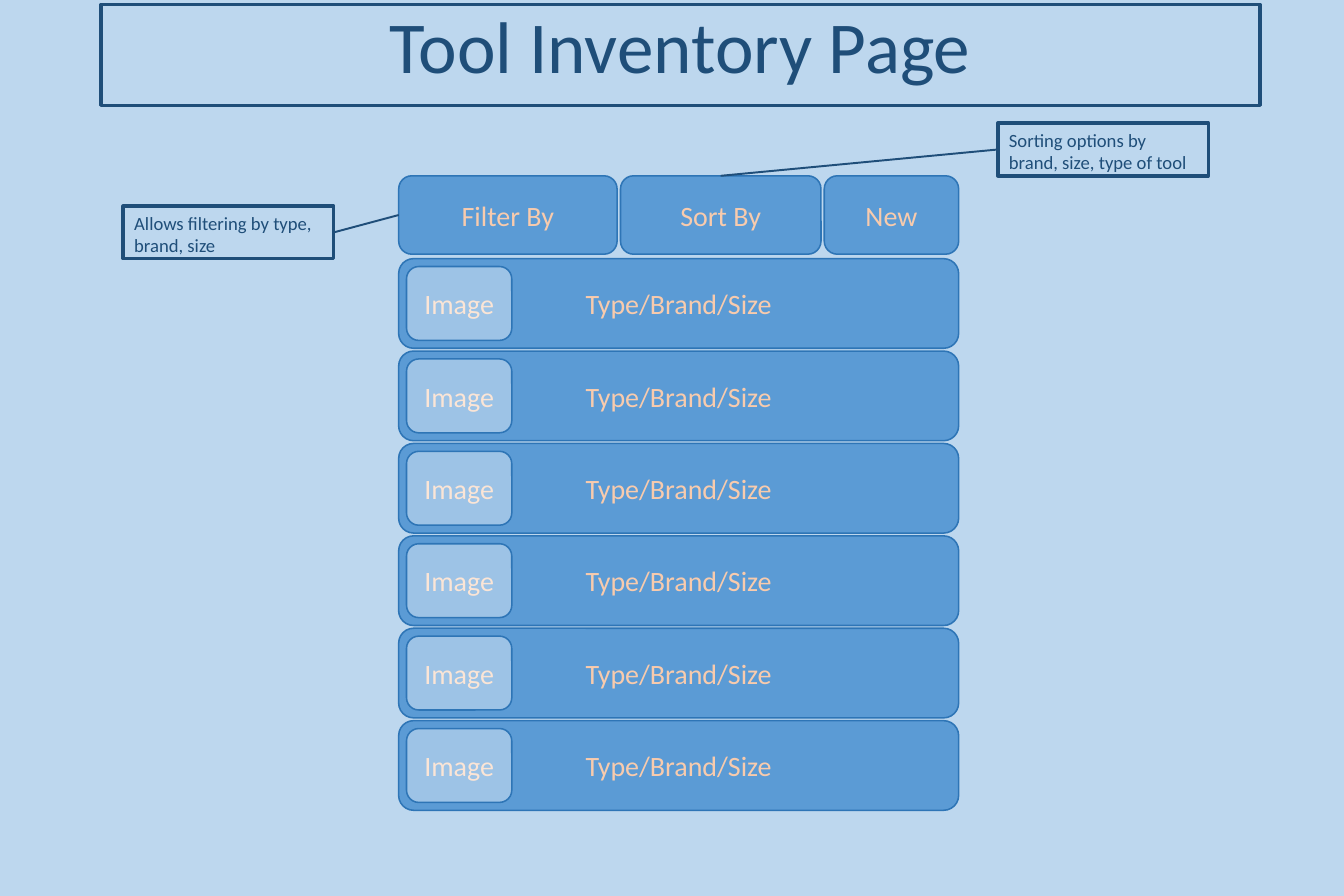
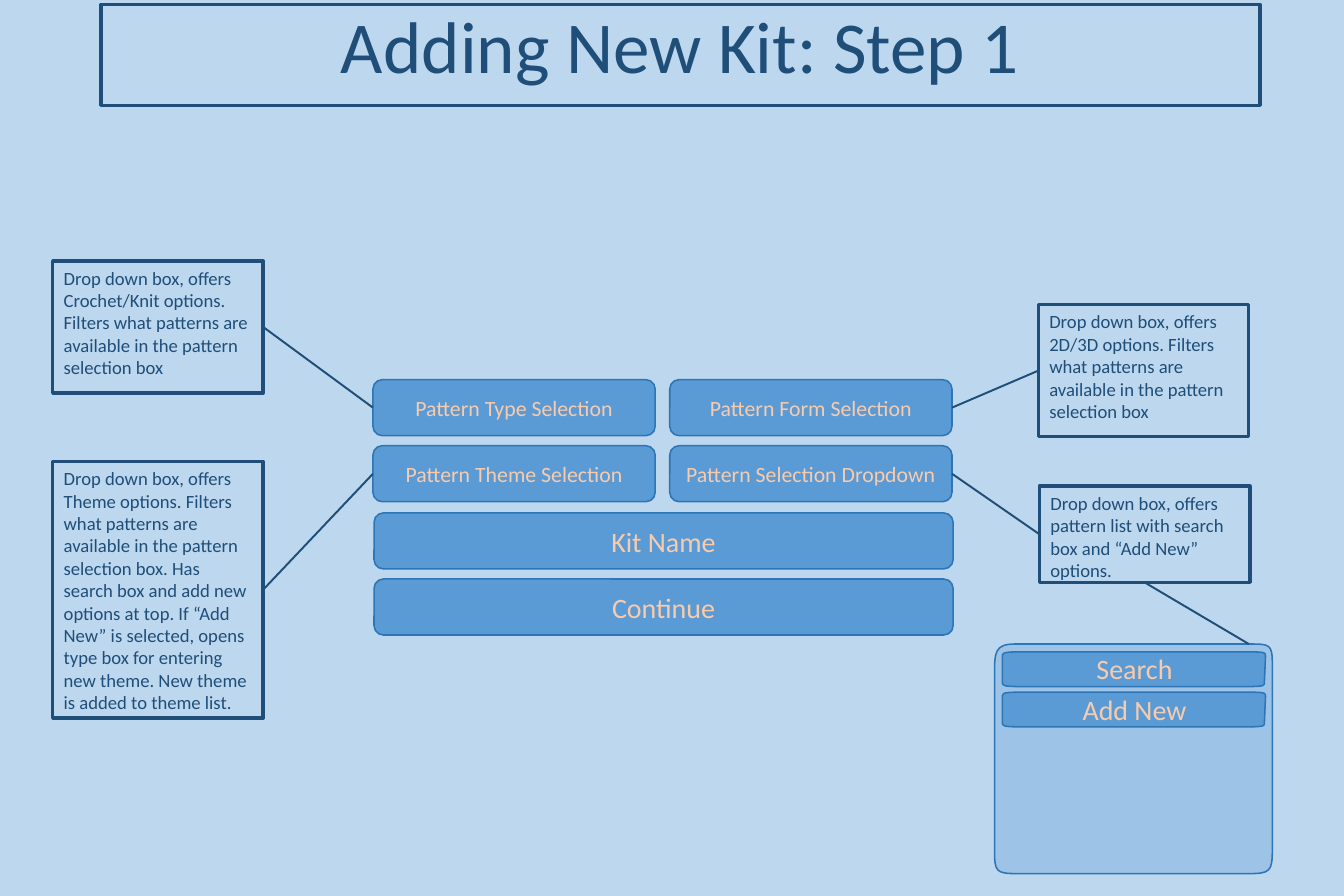
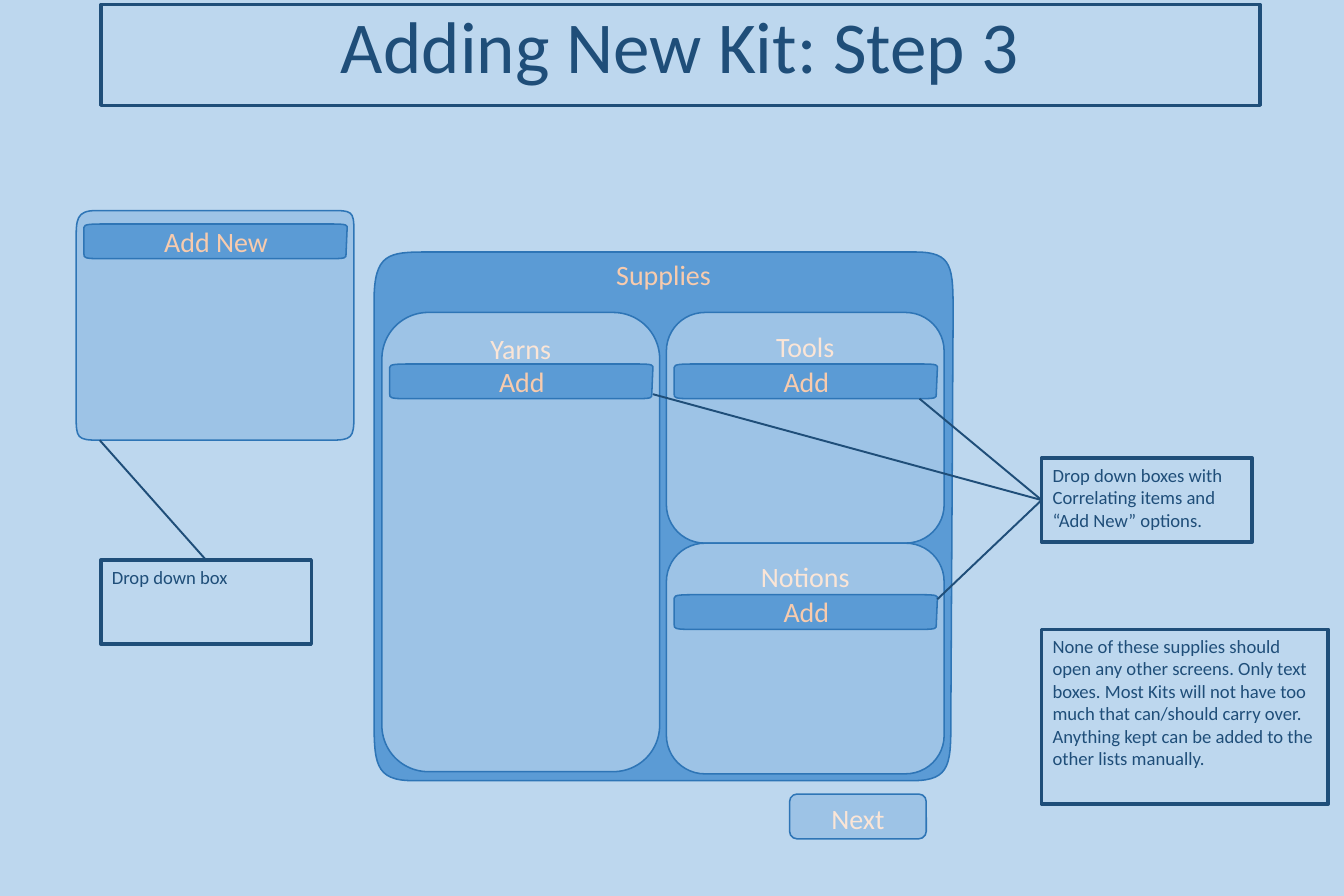
"""Build three wireframe slides for a craft inventory app."""
import pptx
import pptx.util
import pptx.dml.color
import pptx.enum.shapes
import pptx.enum.text
import pptx.oxml.ns
from lxml import etree

Inches = pptx.util.Inches
Pt = pptx.util.Pt
Shape = pptx.enum.shapes.MSO_SHAPE
Align = pptx.enum.text.PP_ALIGN
Anchor = pptx.enum.text.MSO_ANCHOR

FONT = "Calibri"
COLORS = {
    "page": "BDD7EE",
    "ink": "1F4E79",
    "button": "5B9BD5",
    "panel": "9DC3E6",
    "edge": "2E75B6",
    "button_text": "F8CBAD",
    "panel_text": "FBE5D6",
}
TOP, LEFT, BOTTOM, RIGHT = range(4)

BAR = [
    [(0, 0.03), (0, 0), (0.06, 0), (0.22, 0)],
    [(2.2, 0), (2.36, 0), (2.35, 0.01), (2.35, 0.04)],
    [(2.34, 0.27), (2.34, 0.3), (2.35, 0.31), (2.19, 0.31)],
    [(0.16, 0.31), (0, 0.31), (0, 0.3), (0, 0.27)],
]
DROPDOWN = [
    [(0, 0.27), (0, 0.08), (0, 0), (0.18, 0)],
    [(2.27, 0), (2.46, 0), (2.48, 0), (2.48, 0.18)],
    [(2.48, 1.84), (2.48, 2.03), (2.46, 2.05), (2.27, 2.05)],
    [(0.2, 2.05), (0.01, 2.05), (0, 2.03), (0, 1.84)],
]
SUPPLIES = [
    [(0, 0.44), (0, 0.01), (0.13, 0), (0.48, 0)],
    [(4.83, 0), (5.17, 0), (5.17, 0.13), (5.17, 0.57)],
    [(5.15, 4.13), (5.15, 4.56), (5.16, 4.72), (4.81, 4.72)],
    [(0.35, 4.72), (0, 4.72), (0, 4.56), (0, 4.13)],
]


def color(name):
    """Return the named colour."""
    return pptx.dml.color.RGBColor.from_string(COLORS[name])


def paint(shape, fill, line, width):
    """Set fill and outline, without a shadow."""
    shape.shadow.inherit = False
    if fill:
        shape.fill.solid()
        shape.fill.fore_color.rgb = color(fill)
    else:
        shape.fill.background()
    shape.line.color.rgb = color(line)
    shape.line.width = Pt(width)


def write(shape, text, size, ink, align=Align.CENTER, anchor=Anchor.MIDDLE):
    """Put one formatted paragraph into a shape."""
    frame = shape.text_frame
    frame.word_wrap = True
    frame.auto_size = pptx.enum.text.MSO_AUTO_SIZE.NONE
    frame.vertical_anchor = anchor
    frame.text = text
    para = frame.paragraphs[0]
    para.alignment = align
    para.font.name = FONT
    para.font.size = Pt(size)
    para.font.color.rgb = color(ink)
    return para


def add_page(deck, title):
    """Add a page with its framed title."""
    page = deck.slides.add_slide(deck.slide_layouts[5])
    box = page.shapes.title
    box.left, box.top = Inches(0.9), Inches(0.04)
    box.width, box.height = Inches(10.35), Inches(0.9)
    paint(box, None, "ink", 2.25)
    write(box, title, 47, "ink", anchor=Anchor.TOP).line_spacing = 0.9
    return page


def add_box(page, kind, left, top, width, height):
    """Add a preset shape placed in inches."""
    return page.shapes.add_shape(
        kind, Inches(left), Inches(top), Inches(width), Inches(height))


def add_rounded(page, text, left, top, width, height, style="button",
                size=18, anchor=Anchor.MIDDLE):
    """Add a rounded button or panel with its label."""
    box = add_box(page, Shape.ROUNDED_RECTANGLE, left, top, width, height)
    paint(box, style, "edge", 1)
    write(box, text, size, style + "_text", anchor=anchor)
    return box


def add_note(page, text, left, top, height, width=1.88):
    """Add a framed explanatory note."""
    box = add_box(page, Shape.RECTANGLE, left, top, width, height)
    paint(box, None, "ink", 2.25)
    write(box, text, 12, "ink", Align.LEFT, Anchor.TOP)
    return box


def bend_corners(shape, count):
    """Turn the three segments of each corner into one cubic curve."""
    segments = shape._element.xpath(".//a:lnTo")
    for index in range(count):
        first, second, third = segments[4 * index:4 * index + 3]
        curve = etree.Element(pptx.oxml.ns.qn("a:cubicBezTo"))
        first.addprevious(curve)
        for segment in (first, second, third):
            curve.append(segment[0])
            segment.getparent().remove(segment)


def add_outline(page, corners, left, top, style):
    """Add a freeform whose corners are curves joined by straight sides."""
    points = [(Inches(left + x), Inches(top + y))
              for corner in corners for x, y in corner]
    builder = page.shapes.build_freeform(*points[0])
    builder.add_line_segments(points[1:], close=True)
    shape = builder.convert_to_shape()
    bend_corners(shape, len(corners))
    paint(shape, style, "edge", 1)
    return shape


def add_bar(page, text, left, top):
    """Add a slim menu bar."""
    bar = add_outline(page, BAR, left, top, "button")
    write(bar, text, 18, "button_text", anchor=Anchor.TOP)
    bar.text_frame.margin_top = 0


def add_dropdown(page, left, top, bars):
    """Add an open dropdown with bars given as (label, offset)."""
    add_outline(page, DROPDOWN, left, top, "panel")
    for text, offset in bars:
        add_bar(page, text, left + 0.07, top + offset)


def add_pointer(page, note, side, x=0, y=0):
    """Draw a line from the side of a note to a point."""
    line = page.shapes.add_connector(
        pptx.enum.shapes.MSO_CONNECTOR.STRAIGHT, 0, 0, Inches(x), Inches(y))
    line.begin_connect(note, side)
    line.line.color.rgb = color("ink")
    line.line.width = Pt(1.25)
    etree.SubElement(line._element.spPr, pptx.oxml.ns.qn("a:effectLst"))
    return line


def join(page, note, side, button, button_side):
    """Draw a line from a note to the side of a button."""
    add_pointer(page, note, side).end_connect(button, button_side)


def build_inventory(deck):
    """Build the tool inventory page."""
    page = add_page(deck, "Tool Inventory Page")
    for row in range(6):
        top = 2.31 + 0.825 * row
        add_rounded(page, "Type/Brand/Size", 3.56, top, 5, 0.8)
        add_rounded(page, "Image", 3.63, top + 0.07, 0.94, 0.66, "panel")
    buttons, left = {}, 3.56
    for text, width in (("Filter By", 1.95), ("Sort By", 1.79), ("New", 1.2)):
        buttons[text] = add_rounded(page, text, left, 1.57, width, 0.7)
        left += width + 0.03
    note = add_note(page, "Allows filtering by type, brand, size", 1.1, 1.84, 0.47)
    join(page, note, RIGHT, buttons["Filter By"], LEFT)
    note = add_note(page, "Sorting options by brand, size, type of tool",
                    8.91, 1.1, 0.47)
    join(page, note, LEFT, buttons["Sort By"], TOP)


def build_step_one(deck):
    """Build the pattern selection page."""
    page = add_page(deck, "Adding New Kit: Step 1")
    fields = (
        ("Pattern Type Selection", 0, 0, 0.47, 2.33, 1.18,
         "Drop down box, offers Crochet/Knit options. Filters what patterns are "
         "available in the pattern selection box"),
        ("Pattern Form Selection", 1, 0, 9.27, 2.72, 1.18,
         "Drop down box, offers 2D/3D options. Filters what patterns are "
         "available in the pattern selection box"),
        ("Pattern Theme Selection", 0, 1, 0.47, 4.12, 2.29,
         "Drop down box, offers Theme options. Filters what patterns are "
         "available in the pattern selection box. Has search box and add new "
         "options at top. If “Add New” is selected, opens type box for entering "
         "new theme. New theme is added to theme list."),
        ("Pattern Selection Dropdown", 1, 1, 9.28, 4.34, 0.86,
         "Drop down box, offers pattern list with search box and “Add New” "
         "options."),
    )
    for label, column, row, left, top, height, text in fields:
        button = add_rounded(page, label, 3.33 + 2.65 * column,
                             3.39 + 0.59 * row, 2.52, 0.5, size=14)
        if column:
            button.text_frame.margin_left = button.text_frame.margin_right = 0
        note = add_note(page, text, left, top, height)
        sides = (LEFT, RIGHT) if column else (RIGHT, LEFT)
        join(page, note, sides[0], button, sides[1])
    for row, label in enumerate(("Kit Name", "Continue")):
        add_rounded(page, label, 3.34, 4.58 + 0.59 * row, 5.17, 0.5)
    add_dropdown(page, 8.88, 5.75, (("Search", 0.07), ("Add New", 0.43)))
    add_pointer(page, note, BOTTOM, 11.15, 5.75)


def build_step_three(deck):
    """Build the supplies page."""
    page = add_page(deck, "Adding New Kit: Step 3")
    supplies = add_outline(page, SUPPLIES, 3.34, 2.25, "button")
    write(supplies, "Supplies", 18, "button_text", anchor=Anchor.TOP)
    for text, left, top, height in (("Yarns", 3.41, 2.79, 4.1),
                                    ("Tools", 5.95, 2.79, 2.06),
                                    ("Notions", 5.95, 4.85, 2.06)):
        add_rounded(page, text, left, top, 2.48, height, "panel",
                    anchor=Anchor.TOP)
        add_bar(page, "Add", left + 0.07, top + 0.46)
    note = add_note(page, "Drop down boxes with Correlating items and “Add New” "
                    "options.", 9.3, 4.09, 0.75)
    for x, y in ((5.83, 3.52), (8.37, 5.35), (8.21, 3.56)):
        add_pointer(page, note, LEFT, x, y)
    add_dropdown(page, 0.68, 1.88, (("Add New", 0.12),))
    note = add_note(page, "Drop down box", 0.9, 5, 0.75)
    add_pointer(page, note, TOP, 0.89, 3.93)
    add_note(page, "None of these supplies should open any other screens. Only "
             "text boxes. Most Kits will not have too much that can/should carry "
             "over. Anything kept can be added to the other lists manually.",
             9.3, 5.62, 1.56, 2.56)
    add_rounded(page, "Next", 7.05, 7.09, 1.22, 0.4, "panel", anchor=Anchor.TOP)


def main():
    """Build and save the deck."""
    deck = pptx.Presentation()
    deck.slide_width, deck.slide_height = Inches(12), Inches(8)
    fill = deck.slide_master.background.fill
    fill.solid()
    fill.fore_color.rgb = color("page")
    build_inventory(deck)
    build_step_one(deck)
    build_step_three(deck)
    deck.save("out.pptx")


if __name__ == "__main__":
    main()
